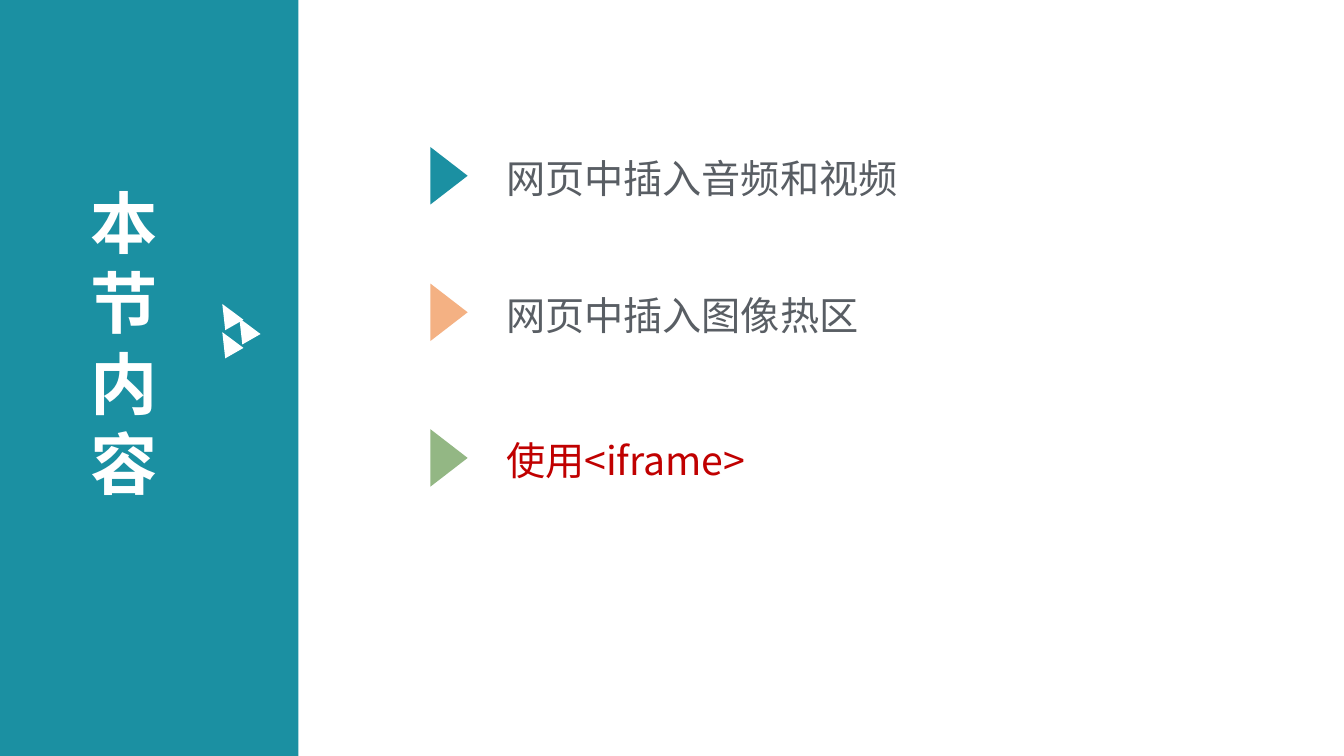
from lxml import etree
from pptx import Presentation
from pptx.dml.color import RGBColor
from pptx.enum.shapes import MSO_SHAPE
from pptx.enum.text import MSO_ANCHOR, MSO_AUTO_SIZE, PP_ALIGN
from pptx.oxml.ns import qn
from pptx.util import Cm, Pt

RECTANGLE = MSO_SHAPE.RECTANGLE
TRIANGLE = MSO_SHAPE.ISOSCELES_TRIANGLE
LEFT = PP_ALIGN.LEFT
TOP = MSO_ANCHOR.TOP
NO_AUTOFIT = MSO_AUTO_SIZE.NONE

FONT = "Noto Sans CJK SC"
COLORS = {
    "teal": "1B90A2",
    "orange": "F4B183",
    "green": "93B784",
    "white": "FFFFFF",
    "gray": "595E64",
    "red": "C00000",
}

HEADING = "本节内容"
# text, text colour, marker colour, vertical centre in cm
TOPICS = [
    ("网页中插入音频和视频", "gray", "teal", 4.43),
    ("网页中插入图像热区", "gray", "orange", 7.87),
    ("使用<iframe>", "red", "green", 11.54),
]
# left and top in cm
ORNAMENT = [(5.49, 7.62), (5.49, 8.33), (5.92, 7.98)]

SLIDE_WIDTH, SLIDE_HEIGHT = 33.87, 19.05
MARKER_WIDTH, MARKER_HEIGHT = 1.45, 0.94
MARKER_LEFT = 10.59
LINE_PT = 34
HEADING_LINE_PT = 57.5
ROW_HEIGHT = 1.45


def add_plain_shape(slide, kind, left, top, width, height, color, rotation=0):
    shape = slide.shapes.add_shape(kind, Cm(left), Cm(top), Cm(width), Cm(height))
    shape.rotation = rotation
    shape.shadow.inherit = False
    shape.fill.solid()
    shape.fill.fore_color.rgb = RGBColor.from_string(COLORS[color])
    shape.line.fill.background()
    return shape


def place(placeholder, left, top, width, height):
    placeholder.left, placeholder.top = Cm(left), Cm(top)
    placeholder.width, placeholder.height = Cm(width), Cm(height)
    frame = placeholder.text_frame
    frame.word_wrap = True
    frame.auto_size = NO_AUTOFIT
    frame.vertical_anchor = TOP
    return frame


def format_paragraph(paragraph, size, color, line_pt, bold=False):
    paragraph.alignment = LEFT
    paragraph.line_spacing = Pt(line_pt)
    paragraph.space_before = Pt(0)
    for run in paragraph.runs:
        font = run.font
        font.name = FONT
        font.size = Pt(size)
        font.bold = bold
        font.color.rgb = RGBColor.from_string(COLORS[color])
        east_asian = etree.SubElement(run._r.get_or_add_rPr(), qn("a:ea"))
        east_asian.set("typeface", FONT)


def remove_bullet(paragraph):
    properties = paragraph._p.get_or_add_pPr()
    properties.set("marL", "0")
    properties.set("indent", "0")
    etree.SubElement(properties, qn("a:buNone"))


def add_heading(slide):
    frame = place(slide.shapes.title, 2.03, 4.27, 3.33, 8.46)
    frame.margin_top = Cm(0.3)
    frame.text = HEADING
    format_paragraph(frame.paragraphs[0], 48, "white", HEADING_LINE_PT, bold=True)


def add_topics(slide):
    first, last = TOPICS[0][3], TOPICS[-1][3]
    frame = place(slide.placeholders[1], 12.5, first - ROW_HEIGHT / 2,
                  12.47, last - first + ROW_HEIGHT)
    frame.margin_top = Cm(0.18)
    frame.text = "\n".join(topic[0] for topic in TOPICS)
    previous = None
    for paragraph, (_, color, marker, center) in zip(frame.paragraphs, TOPICS):
        format_paragraph(paragraph, 28, color, LINE_PT)
        if previous is not None:
            paragraph.space_before = Pt(round(Cm(center - previous).pt - LINE_PT, 1))
        remove_bullet(paragraph)
        previous = center
        add_plain_shape(slide, TRIANGLE, MARKER_LEFT, center - MARKER_HEIGHT / 2,
                        MARKER_WIDTH, MARKER_HEIGHT, marker, rotation=90)


def main():
    presentation = Presentation()
    presentation.slide_width = Cm(SLIDE_WIDTH)
    presentation.slide_height = Cm(SLIDE_HEIGHT)
    slide = presentation.slides.add_slide(presentation.slide_layouts[1])

    side_panel = add_plain_shape(slide, RECTANGLE, 0, 0, 7.52, SLIDE_HEIGHT, "teal")
    slide.shapes.title._element.addprevious(side_panel._element)
    add_heading(slide)
    for left, top in ORNAMENT:
        add_plain_shape(slide, TRIANGLE, left, top, 0.53, 0.61, "white", rotation=330.2)
    add_topics(slide)

    presentation.save("out.pptx")


if __name__ == "__main__":
    main()
